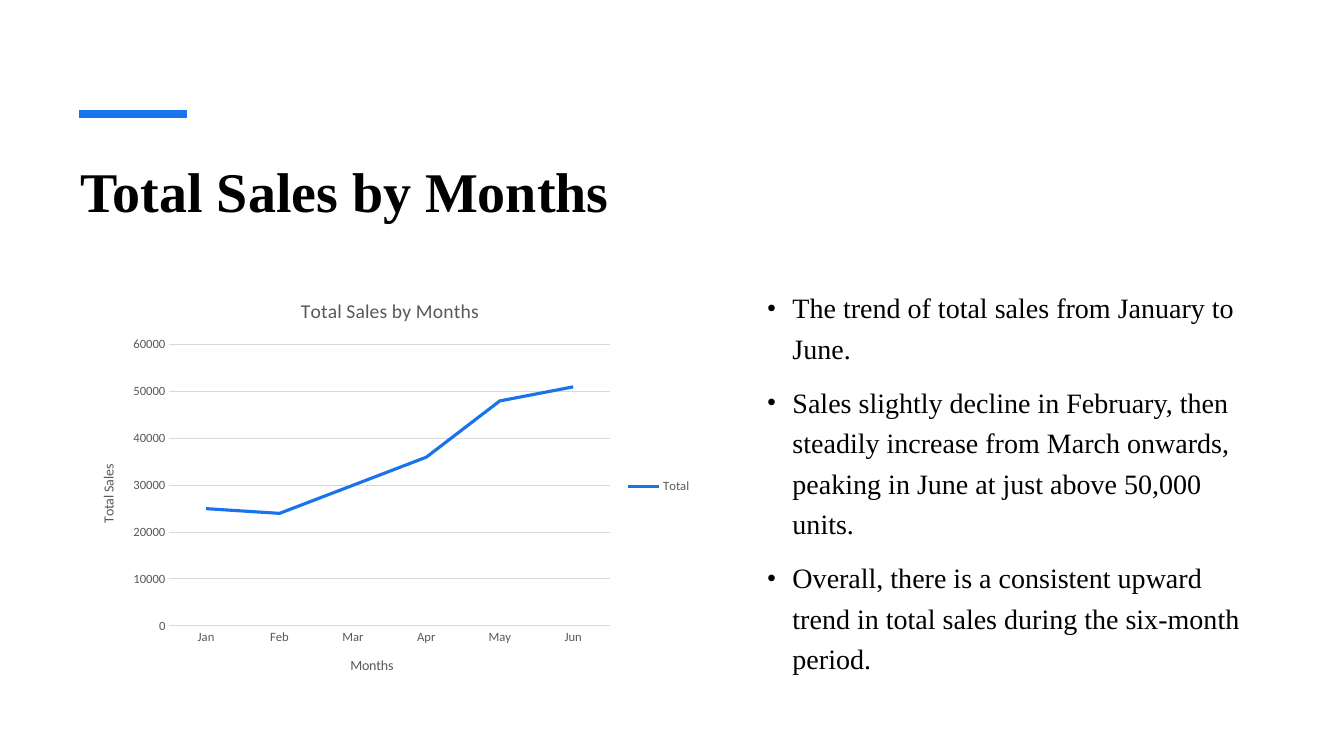
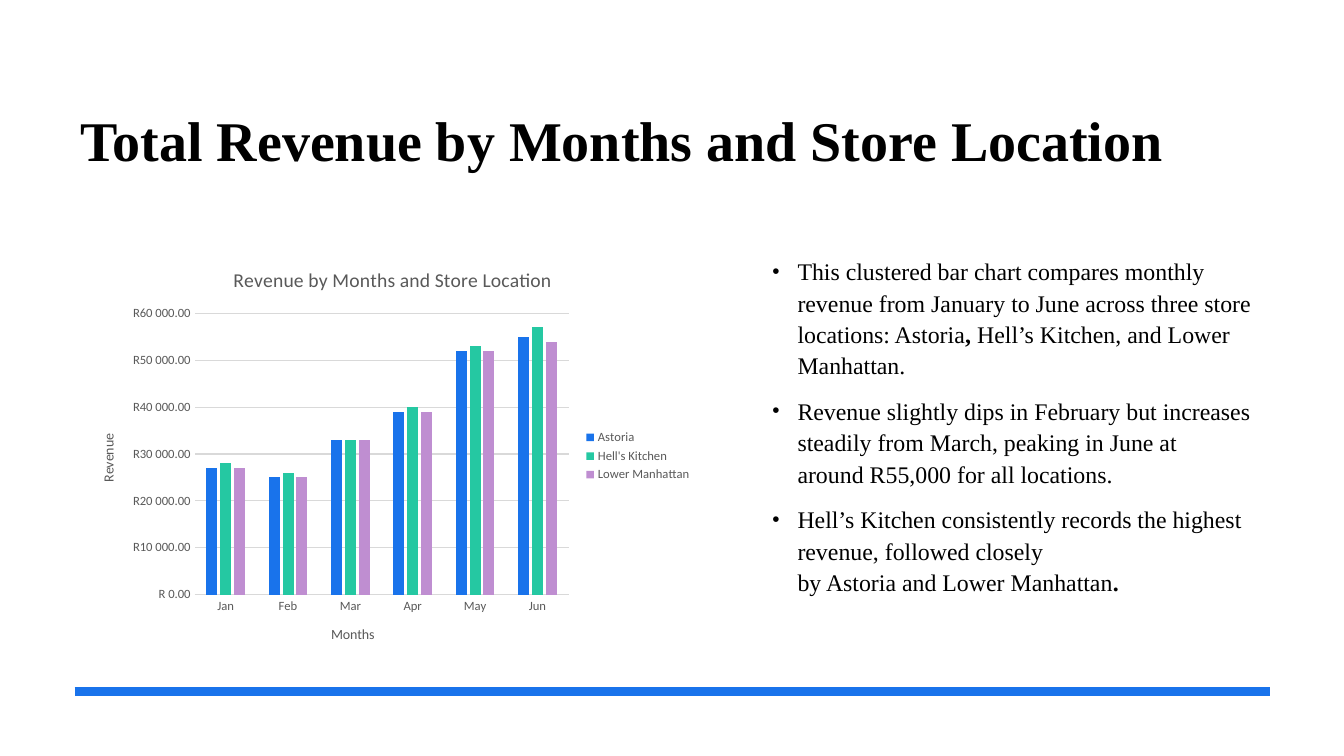
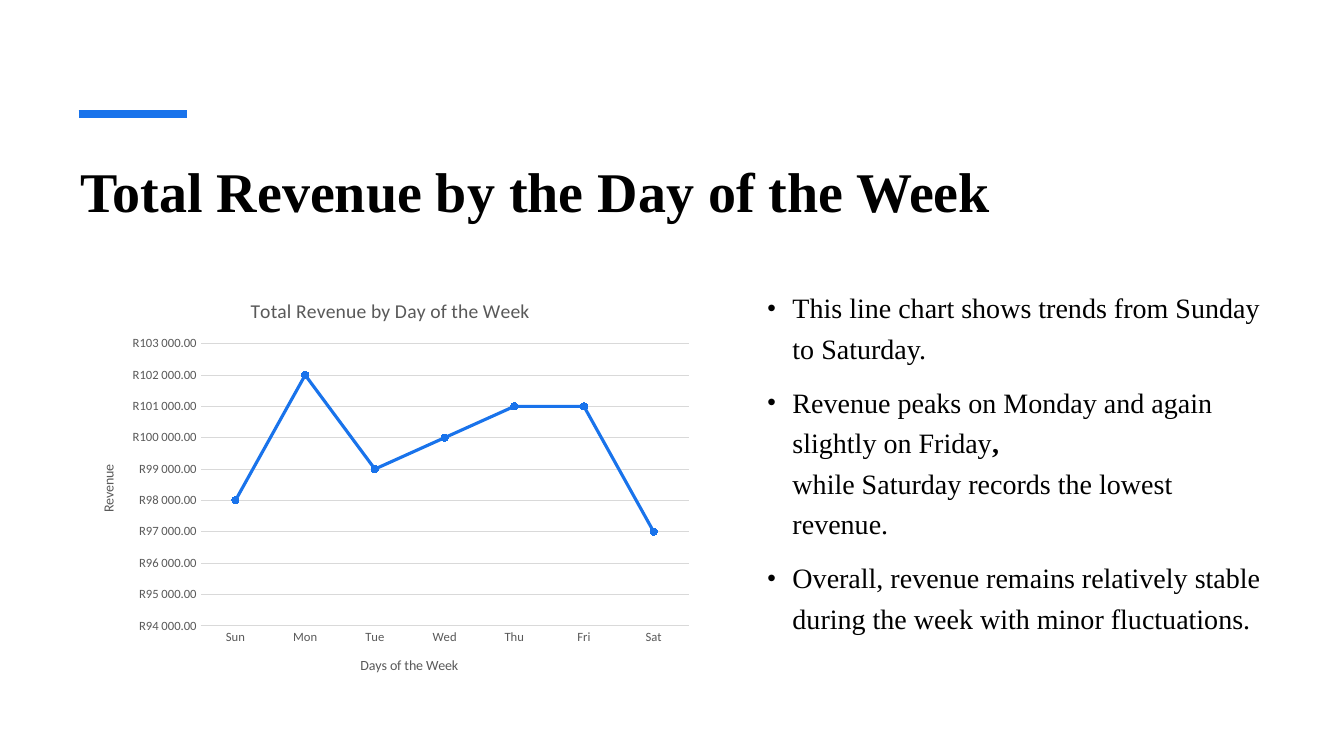
"""Build three sales slides, each with a title, a chart and a bulleted reading of it."""
from dataclasses import dataclass
from typing import Optional

import lxml.etree
import pptx
import pptx.chart.chart
import pptx.chart.data
import pptx.dml.color
import pptx.enum.chart
import pptx.enum.shapes
import pptx.enum.text
import pptx.oxml.ns
import pptx.slide
import pptx.text.text
import pptx.util

Inches = pptx.util.Inches
Pt = pptx.util.Pt
RGBColor = pptx.dml.color.RGBColor
ChartType = pptx.enum.chart.XL_CHART_TYPE
qn = pptx.oxml.ns.qn

BLUE = RGBColor(0x19, 0x73, 0xEB)
GREEN = RGBColor(0x25, 0xC8, 0xA2)
PURPLE = RGBColor(0xBF, 0x8E, 0xD1)
BLACK = RGBColor(0, 0, 0)
GRAY = RGBColor(0x59, 0x59, 0x59)
GRID = RGBColor(0xD9, 0xD9, 0xD9)
SERIES_COLORS = (BLUE, GREEN, PURPLE)

TEXT_FONT = "Times New Roman"
CHART_FONT = "Calibri"
RAND = '"R"#\\ ##0.00'
MONTHS = ("Jan", "Feb", "Mar", "Apr", "May", "Jun")
DAYS = ("Sun", "Mon", "Tue", "Wed", "Thu", "Fri", "Sat")

CHART_LEFT, CHART_WIDTH, CHART_HEIGHT = 0.78, 6.18, 4.11
TITLE_TOP, CAT_TITLE_TOP = 0.14, 3.71
VAL_TITLE_LEFT, VAL_TITLE_TOP = 0.18, 1.81

Box = tuple[float, float, float, float]
Run = tuple[str, bool]


@dataclass(frozen=True)
class ChartSpec:
    """Data of a chart, with positions in inches from its top left corner."""

    kind: ChartType
    title: str
    cat_title: str
    val_title: str
    cats: tuple[str, ...]
    series: dict[str, tuple[int, ...]]
    low: int
    high: int
    step: int
    plot: Box
    title_left: float
    cat_title_left: float
    number_format: str = "General"
    legend: bool = True


@dataclass(frozen=True)
class Look:
    """Placement of the parts of a slide, in inches, and its body text style."""

    title: Box
    body: Box
    bar: tuple[float, float, float]
    size: int
    spacing: float


@dataclass(frozen=True)
class SlideSpec:
    """Contents of a slide."""

    title: str
    look: Look
    bullets: tuple[tuple[Run, ...], ...]
    chart: ChartSpec


TOP_BAR = Look((0.7, 1.5, 11.91, 1.06), (7.51, 2.77, 5.1, 4.11), (0.78, 1.85, 1.13), 20, 1.2)
BOTTOM_BAR = Look((0.7, 1, 11.86, 1.28), (7.56, 2.47, 4.99, 4.11), (0.74, 12.6, 6.86), 17, 1.1)

SLIDES = (
    SlideSpec(
        "Total Sales by Months",
        TOP_BAR,
        (
            (("The trend of total sales from January to June.", False),),
            (("Sales slightly decline in February, then steadily increase from March onwards, "
              "peaking in June at just above 50,000 units.", False),),
            (("Overall, there is a consistent upward trend in total sales during the "
              "six-month period.", False),),
        ),
        ChartSpec(
            ChartType.LINE, "Total Sales by Months", "Months", "Total Sales", MONTHS,
            {"Total": (25000, 24000, 30000, 36000, 48000, 51000)},
            0, 60000, 10000, (0.9, 0.65, 4.37, 2.79), 2.17, 2.67,
        ),
    ),
    SlideSpec(
        "Total Revenue by Months and Store Location",
        BOTTOM_BAR,
        (
            (("This clustered bar chart compares monthly revenue from January to June across "
              "three store locations: Astoria", False),
             (", ", True),
             ("Hell’s Kitchen, and Lower Manhattan.", False)),
            (("Revenue slightly dips in February but increases steadily from March, peaking "
              "in June at\naround R55,000 for all locations.", False),),
            (("Hell’s Kitchen consistently records the highest revenue, followed closely\n"
              "by Astoria and Lower Manhattan", False),
             (".", True)),
        ),
        ChartSpec(
            ChartType.COLUMN_CLUSTERED, "Revenue by Months and Store Location", "Months",
            "Revenue", MONTHS,
            {
                "Astoria": (27000, 25000, 33000, 39000, 52000, 55000),
                "Hell's Kitchen": (28000, 26000, 33000, 40000, 53000, 57000),
                "Lower Manhattan": (27000, 25000, 33000, 39000, 52000, 54000),
            },
            0, 60000, 10000, (1.15, 0.64, 3.71, 2.79), 1.5, 2.48, RAND,
        ),
    ),
    SlideSpec(
        "Total Revenue by the Day of the Week",
        TOP_BAR,
        (
            (("This line chart shows trends from Sunday to Saturday.", False),),
            (("Revenue peaks on Monday and again slightly on Friday", False),
             (",", True),
             ("\nwhile Saturday records the lowest revenue.", False)),
            (("Overall, revenue remains relatively stable during the week with minor "
              "fluctuations.", False),),
        ),
        ChartSpec(
            ChartType.LINE_MARKERS, "Total Revenue by Day of the Week", "Days of the Week",
            "Revenue", DAYS,
            {"Series 1": (98000, 102000, 99000, 100000, 101000, 101000, 97000)},
            94000, 103000, 1000, (1.21, 0.64, 4.84, 2.8), 1.67, 2.77, RAND, False,
        ),
    ),
)


def set_font(font: pptx.text.text.Font, name: str, size: float, color: RGBColor,
             bold: Optional[bool] = False) -> None:
    """Set the face, size, colour and weight of a font."""
    font.name, font.size, font.bold = name, Pt(size), bold
    font.color.rgb = color


def set_layout(parent: lxml.etree.ElementBase, index: int, x: float, y: float,
               w: Optional[float] = None, h: Optional[float] = None) -> None:
    """Fix the place of a chart part, given in inches."""
    for old in parent.findall(qn("c:layout")):
        parent.remove(old)
    layout = lxml.etree.Element(qn("c:layout"))
    manual = lxml.etree.SubElement(layout, qn("c:manualLayout"))
    values = {"xMode": "edge", "yMode": "edge",
              "x": x / CHART_WIDTH, "y": y / CHART_HEIGHT}
    if w is not None and h is not None:
        values = {"layoutTarget": "inner", **values,
                  "w": w / CHART_WIDTH, "h": h / CHART_HEIGHT}
    for tag, value in values.items():
        lxml.etree.SubElement(manual, qn(f"c:{tag}")).set("val", str(value))
    parent.insert(index, layout)


def write_chart_title(title, text: str, size: float, x: float, y: float,
                      upright: bool = True) -> None:
    """Write a chart or axis title at a fixed place."""
    tf = title.text_frame
    tf.text = text
    set_font(tf.paragraphs[0].font, CHART_FONT, size, GRAY)
    if not upright:
        body = tf._txBody.find(qn("a:bodyPr"))
        body.set("rot", "-5400000")
        body.set("vert", "horz")
    set_layout(title._element, 1, x, y)


def style_axes(chart: pptx.chart.chart.Chart, spec: ChartSpec) -> None:
    """Format both axes and their titles."""
    cat, val = chart.category_axis, chart.value_axis
    for axis in (cat, val):
        axis.major_tick_mark = axis.minor_tick_mark = pptx.enum.chart.XL_TICK_MARK.NONE
        set_font(axis.tick_labels.font, CHART_FONT, 9, GRAY)
    cat.has_major_gridlines = False
    val.has_major_gridlines = True
    for line in (cat.format.line, val.major_gridlines.format.line):
        line.color.rgb = GRID
        line.width = Pt(0.75)
    val.format.line.fill.background()
    val.minimum_scale, val.maximum_scale, val.major_unit = spec.low, spec.high, spec.step
    val.tick_labels.number_format = spec.number_format
    val.tick_labels.number_format_is_linked = False
    write_chart_title(cat.axis_title, spec.cat_title, 10, spec.cat_title_left, CAT_TITLE_TOP)
    write_chart_title(val.axis_title, spec.val_title, 10, VAL_TITLE_LEFT, VAL_TITLE_TOP, False)


def style_series(chart: pptx.chart.chart.Chart, spec: ChartSpec) -> None:
    """Colour the columns or lines."""
    plot = chart.plots[0]
    plot.vary_by_categories = False
    is_column = spec.kind == ChartType.COLUMN_CLUSTERED
    if is_column:
        plot.gap_width, plot.overlap = 219, -27
    for series, color in zip(plot.series, SERIES_COLORS):
        if is_column:
            series.format.fill.solid()
            series.format.fill.fore_color.rgb = color
            continue
        series.smooth = False
        series.format.line.color.rgb = color
        series.format.line.width = Pt(2.25)
        if spec.kind == ChartType.LINE_MARKERS:
            marker = series.marker
            marker.style, marker.size = pptx.enum.chart.XL_MARKER_STYLE.CIRCLE, 5
            marker.format.fill.solid()
            marker.format.fill.fore_color.rgb = color
            marker.format.line.color.rgb = color


def add_chart(s: pptx.slide.Slide, spec: ChartSpec, top: float) -> None:
    """Add the chart at the left of a slide."""
    data = pptx.chart.data.CategoryChartData()
    data.categories = spec.cats
    for name, values in spec.series.items():
        data.add_series(name, values)
    chart = s.shapes.add_chart(spec.kind, Inches(CHART_LEFT), Inches(top), Inches(CHART_WIDTH),
                               Inches(CHART_HEIGHT), data).chart
    set_font(chart.font, CHART_FONT, 10, BLACK)
    chart.has_title = True
    write_chart_title(chart.chart_title, spec.title, 14, spec.title_left, TITLE_TOP)
    style_axes(chart, spec)
    style_series(chart, spec)
    set_layout(chart._chartSpace.chart.plotArea, 0, *spec.plot)
    chart.has_legend = spec.legend
    if spec.legend:
        chart.legend.position = pptx.enum.chart.XL_LEGEND_POSITION.RIGHT
        chart.legend.include_in_layout = False
        set_font(chart.legend.font, CHART_FONT, 9, GRAY)


def place_text(sp, box: Box) -> pptx.text.text.TextFrame:
    """Move a placeholder and anchor its text at the top."""
    sp.left, sp.top, sp.width, sp.height = map(Inches, box)
    tf = sp.text_frame
    tf.word_wrap = True
    tf.auto_size = pptx.enum.text.MSO_AUTO_SIZE.NONE
    tf.vertical_anchor = pptx.enum.text.MSO_ANCHOR.TOP
    return tf


def write_title(s: pptx.slide.Slide, spec: SlideSpec) -> None:
    """Write the slide title."""
    tf = place_text(s.shapes.title, spec.look.title)
    tf.text = spec.title
    p = tf.paragraphs[0]
    p.alignment = pptx.enum.text.PP_ALIGN.LEFT
    set_font(p.font, TEXT_FONT, 40, BLACK, True)


def write_run(p, text: str, size: int, bold: bool) -> None:
    """Write a run, breaking the line at each newline."""
    for i, line in enumerate(text.split("\n")):
        if i:
            p.add_line_break()
        if line:
            r = p.add_run()
            r.text = line
            set_font(r.font, TEXT_FONT, size, BLACK, bold)


def write_bullets(s: pptx.slide.Slide, spec: SlideSpec) -> None:
    """Write the bulleted list at the right."""
    tf = place_text(s.placeholders[1], spec.look.body)
    for i, runs in enumerate(spec.bullets):
        p = tf.add_paragraph() if i else tf.paragraphs[0]
        p.line_spacing, p.space_before = spec.look.spacing, Pt(10)
        set_font(p.font, TEXT_FONT, spec.look.size, BLACK, None)
        for text, bold in runs:
            write_run(p, text, spec.look.size, bold)
        props = p._p.get_or_add_pPr()
        props.set("marL", str(Inches(0.25)))
        props.set("indent", str(-Inches(0.25)))
        char = lxml.etree.Element(qn("a:buChar"), char="•")
        props.insert_element_before(char, "a:tabLst", "a:defRPr", "a:extLst")
        char.addprevious(lxml.etree.Element(qn("a:buSzPct"), val="87000"))


def add_bar(s: pptx.slide.Slide, look: Look) -> None:
    """Draw the blue accent line."""
    start, end, y = map(Inches, look.bar)
    bar = s.shapes.add_connector(pptx.enum.shapes.MSO_CONNECTOR.STRAIGHT, start, y, end, y)
    bar.line.color.rgb = BLUE
    bar.line.width = Pt(6)
    lxml.etree.SubElement(bar._element.spPr, qn("a:effectLst"))


def main() -> None:
    """Build and save the presentation."""
    prs = pptx.Presentation()
    prs.slide_width, prs.slide_height = Inches(13.33), Inches(7.5)
    for spec in SLIDES:
        s = prs.slides.add_slide(prs.slide_layouts[1])
        write_title(s, spec)
        add_bar(s, spec.look)
        write_bullets(s, spec)
        add_chart(s, spec.chart, spec.look.body[1])
    prs.save("out.pptx")


if __name__ == "__main__":
    main()
